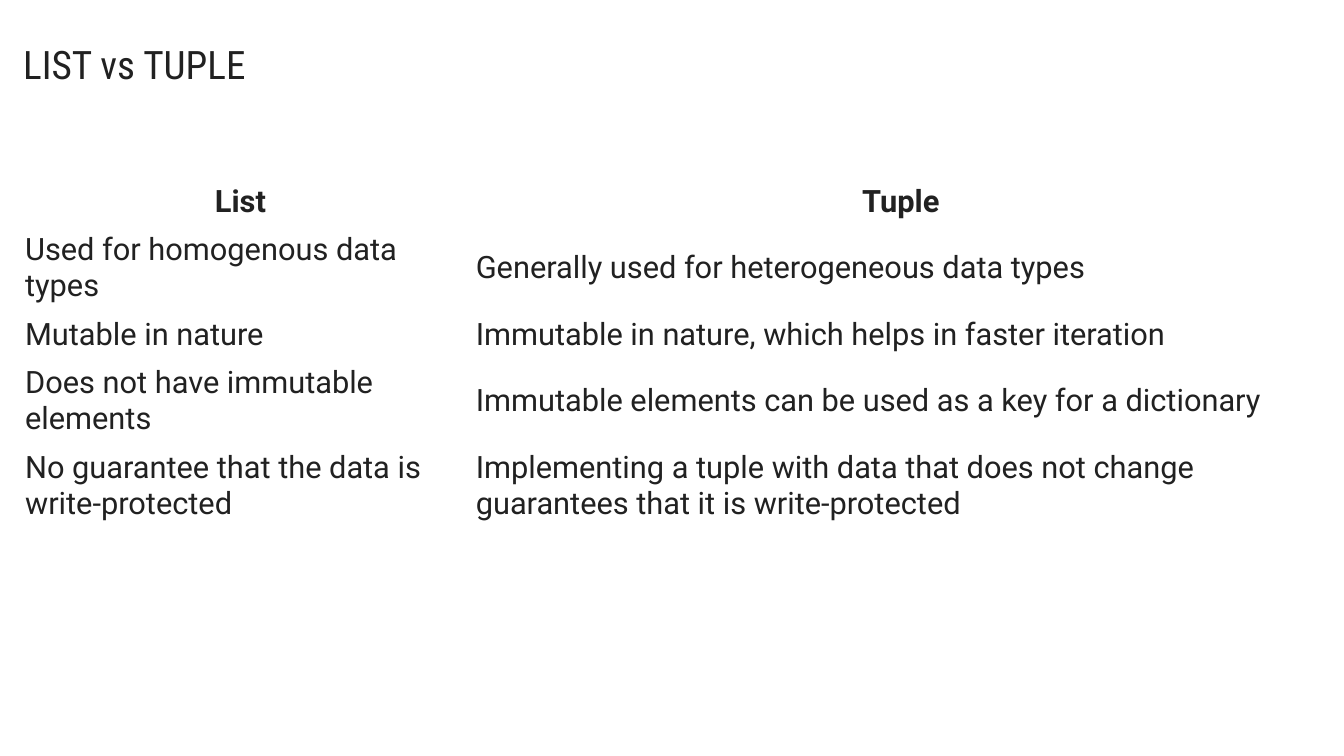
from pptx import Presentation
from pptx.dml.color import RGBColor
from pptx.enum.text import MSO_ANCHOR, MSO_AUTO_SIZE, PP_ALIGN
from pptx.util import Inches, Pt

INK, PAPER = "212121", "FFFFFF"
COLUMN_WIDTHS = (4.47, 8.63)
LINE_HEIGHT, CELL_MARGIN, CELL_INDENT = 0.36, 0.06, 0.08
# Each row: lines of its tallest cell, list text, tuple text
COMPARISON = [
    (1, "List", "Tuple"),
    (2, "Used for homogenous data types", "Generally used for heterogeneous data types"),
    (1, "Mutable in nature", "Immutable in nature, which helps in faster iteration"),
    (2, "Does not have immutable elements",
     "Immutable elements can be used as a key for a dictionary"),
    (2, "No guarantee that the data is write-protected",
     "Implementing a tuple with data that does not change guarantees that it is write-protected"),
]


def color(hex_code):
    return RGBColor.from_string(hex_code)


def set_margins(holder, inches):
    holder.margin_left = holder.margin_right = Inches(inches)
    holder.margin_top = holder.margin_bottom = Inches(inches)


def write(paragraph, text, font_name, size, align, bold=False):
    paragraph.alignment = align
    run = paragraph.add_run()
    run.text = text
    run.font.name = font_name
    run.font.size = Pt(size)
    run.font.bold = bold
    run.font.color.rgb = color(INK)


def place_title(slide, left, top, width, height):
    title = slide.shapes.title
    title.left, title.top = Inches(left), Inches(top)
    title.width, title.height = Inches(width), Inches(height)
    frame = title.text_frame
    frame.word_wrap = True
    frame.auto_size = MSO_AUTO_SIZE.NONE
    frame.vertical_anchor = MSO_ANCHOR.TOP
    set_margins(frame, 0.1)
    write(frame.paragraphs[0], "LIST vs TUPLE", "Roboto Condensed", 28, PP_ALIGN.LEFT)


def fill_cell(cell, text, is_header):
    cell.fill.solid()
    cell.fill.fore_color.rgb = color(PAPER)
    cell.vertical_anchor = MSO_ANCHOR.MIDDLE
    set_margins(cell, CELL_MARGIN)
    paragraph = cell.text_frame.paragraphs[0]
    properties = paragraph._p.get_or_add_pPr()
    properties.set("marL", str(Inches(CELL_INDENT)))
    properties.set("indent", "0")
    align = PP_ALIGN.CENTER if is_header else PP_ALIGN.LEFT
    write(paragraph, text, "Roboto", 22, align, bold=is_header)


def place_comparison(slide, left, top):
    heights = [lines * LINE_HEIGHT + 2 * CELL_MARGIN for lines, *_ in COMPARISON]
    table = slide.shapes.add_table(
        len(COMPARISON), len(COLUMN_WIDTHS), Inches(left), Inches(top),
        Inches(sum(COLUMN_WIDTHS)), Inches(sum(heights))).table
    table.horz_banding = False
    for column, width in zip(table.columns, COLUMN_WIDTHS):
        column.width = Inches(width)
    for index, (row, height) in enumerate(zip(table.rows, heights)):
        row.height = Inches(height)
        for cell, text in zip(row.cells, COMPARISON[index][1:]):
            fill_cell(cell, text, is_header=index == 0)
    # "No Style, No Grid" keeps the cells free of borders
    table._tbl.tblPr.find("{*}tableStyleId").text = "{2D5ABB26-0587-4C30-8999-92F81FD0307C}"


def main():
    deck = Presentation()
    deck.slide_width, deck.slide_height = Inches(13.33), Inches(7.5)
    slide = deck.slides.add_slide(deck.slide_layouts[5])
    slide.background.fill.solid()
    slide.background.fill.fore_color.rgb = color(PAPER)
    place_comparison(slide, 0.11, 1.76)
    place_title(slide, 0.13, 0.3, 10.38, 0.81)
    deck.save("out.pptx")


if __name__ == "__main__":
    main()
